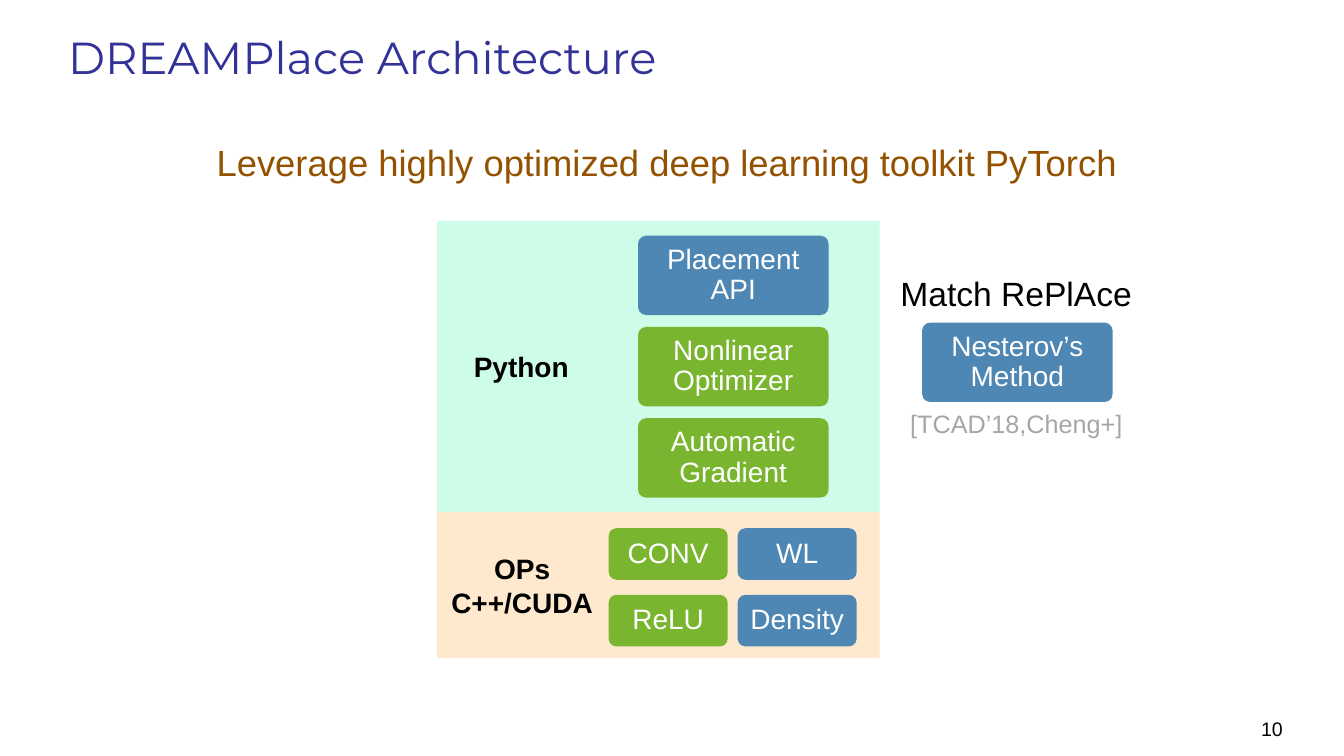
from pptx import Presentation
from pptx.dml.color import RGBColor
from pptx.enum.shapes import MSO_SHAPE
from pptx.enum.text import MSO_ANCHOR, PP_ALIGN
from pptx.util import Cm, Pt

NAVY = RGBColor(0x33, 0x32, 0x98)
BROWN = RGBColor(0x94, 0x52, 0x00)
BLACK = RGBColor(0, 0, 0)
WHITE = RGBColor(255, 255, 255)
GRAY = RGBColor(0xA6, 0xA6, 0xA6)
MINT = RGBColor(0xCD, 0xFD, 0xE9)
PEACH = RGBColor(0xFE, 0xE9, 0xCE)
BLUE = RGBColor(0x4E, 0x87, 0xB3)
GREEN = RGBColor(0x7A, 0xB5, 0x30)

LEFT, MID, RIGHT = PP_ALIGN.LEFT, PP_ALIGN.CENTER, PP_ALIGN.RIGHT
TOP, CORE, BASE = MSO_ANCHOR.TOP, MSO_ANCHOR.MIDDLE, MSO_ANCHOR.BOTTOM

PANELS = [(5.56, 7.37, MINT), (12.9, 3.68, PEACH)]
STAGES = [("Placement API", BLUE), ("Nonlinear Optimizer", GREEN),
          ("Automatic Gradient", GREEN)]
OPS = [[("CONV", GREEN), ("WL", BLUE)],
       [("ReLU", GREEN), ("Density", BLUE)]]
LABELS = [
    ("DREAMPlace Architecture", (1.59, 0.51, 30.48, 1.83),
     dict(size=32, color=NAVY, face="Montserrat", anchor=CORE, wrap=True)),
    ("Leverage highly optimized deep learning toolkit PyTorch",
     (3.08, 3.12, 27.48, 1.63),
     dict(size=26, color=BROWN, align=MID, anchor=BASE, wrap=True)),
    ("10", (30.96, 17.98, 1.5, 0.84),
     dict(size=14, align=RIGHT, wrap=True, gap=0.93)),
    ("Python", (11.81, 8.67, 2.69, 1.09), dict(bold=True)),
    ("OPs\nC++/CUDA", (11.23, 13.77, 3.86, 1.96),
     dict(bold=True, align=MID, anchor=CORE)),
    ("Match RePlAce", (22.56, 6.74, 6.38, 1.27), dict(size=24)),
    ("[TCAD’18,Cheng+]", (22.81, 10.16, 5.64, 1.04),
     dict(size=18, color=GRAY)),
]


def write(shape, text, size=20, color=BLACK, face="Arial", bold=False,
          align=LEFT, anchor=TOP, wrap=False, gap=1.0):
    frame = shape.text_frame
    frame.text = text
    frame.word_wrap = wrap
    frame.vertical_anchor = anchor
    frame.margin_left = frame.margin_right = Cm(0.13)
    frame.margin_top = frame.margin_bottom = Cm(0.13)
    for para in frame.paragraphs:
        para.alignment = align
        para.line_spacing = gap
        for run in para.runs:
            run.font.name = face
            run.font.size = Pt(size)
            run.font.bold = bold
            run.font.color.rgb = color


def block(kind, spot, fill):
    shape = slide.shapes.add_shape(kind, *map(Cm, spot))
    shape.shadow.inherit = False
    shape.fill.solid()
    shape.fill.fore_color.rgb = fill
    shape.line.fill.background()
    return shape


def card(text, spot, fill, curve):
    shape = block(MSO_SHAPE.ROUNDED_RECTANGLE, spot, fill)
    shape.adjustments[0] = curve
    write(shape, text, color=WHITE, align=MID, anchor=CORE, wrap=True,
          gap=0.9)


deck = Presentation()
deck.slide_width, deck.slide_height = Cm(33.87), Cm(19.05)
slide = deck.slides.add_slide(deck.slide_layouts[6])

for top, high, fill in PANELS:
    block(MSO_SHAPE.RECTANGLE, (11.02, top, 11.15, high), fill)
for row, (text, fill) in enumerate(STAGES):
    card(text, (16.08, 5.94 + 2.3 * row, 4.8, 2), fill, 0.1)
for row, line in enumerate(OPS):
    for col, (text, fill) in enumerate(line):
        card(text, (15.34 + 3.25 * col, 13.31 + 1.68 * row, 3, 1.3),
             fill, 0.15)
card("Nesterov’s Method", (23.24, 8.13, 4.8, 2), BLUE, 0.1)
for text, spot, style in LABELS:
    write(slide.shapes.add_textbox(*map(Cm, spot)), text, **style)

deck.save("out.pptx")
